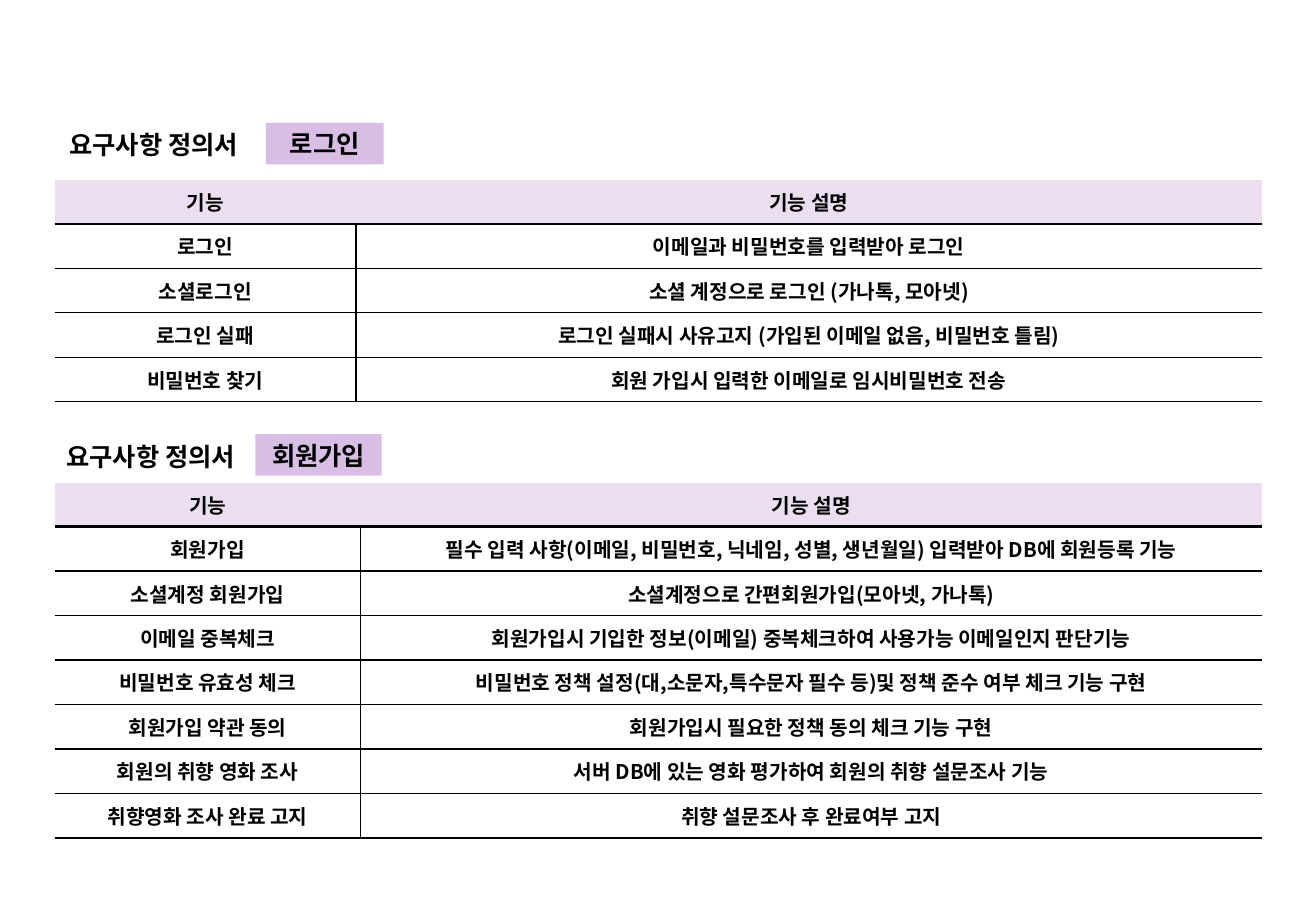
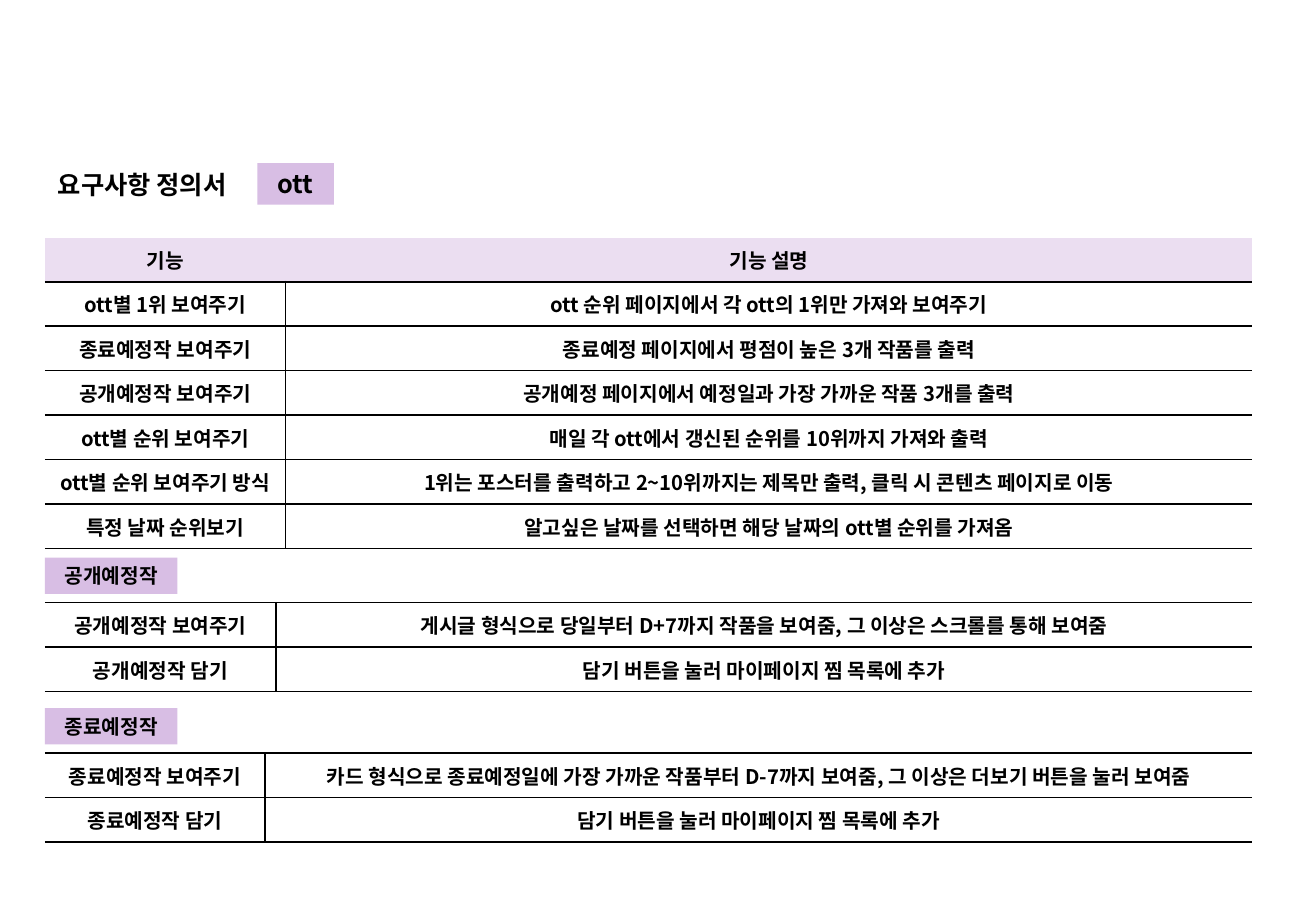
from lxml import etree
from pptx import Presentation
from pptx.dml.color import RGBColor
from pptx.enum.shapes import MSO_SHAPE
from pptx.enum.text import MSO_ANCHOR, PP_ALIGN
from pptx.oxml.ns import qn
from pptx.util import Cm, Pt

RECTANGLE = MSO_SHAPE.RECTANGLE
MIDDLE = MSO_ANCHOR.MIDDLE
LEFT, CENTER = PP_ALIGN.LEFT, PP_ALIGN.CENTER

BLACK = RGBColor(0x00, 0x00, 0x00)
BADGE_FILL = RGBColor(0xD8, 0xBE, 0xE4)
HEADER_FILL = RGBColor(0xEB, 0xDE, 0xF1)
FONT = "Noto Sans CJK KR"
TITLE_SIZE, BODY_SIZE = 15, 12

SLIDE_WIDTH, SLIDE_HEIGHT = 27.51, 19.05
TABLE_WIDTH = 25.24
HEADER_HEIGHT, ROW_HEIGHT = 0.91, 0.93
TITLE_WIDTH, TITLE_HEIGHT = 4.8, 0.87
SECTION_WIDTH, SECTION_HEIGHT = 2.77, 0.76
TITLE = "요구사항 정의서"
HEADER = ("기능", "기능 설명")

LOGIN_ROWS = [
    ("로그인", "이메일과 비밀번호를 입력받아 로그인"),
    ("소셜로그인", "소셜 계정으로 로그인 (가나톡, 모아넷)"),
    ("로그인 실패", "로그인 실패시 사유고지 (가입된 이메일 없음, 비밀번호 틀림)"),
    ("비밀번호 찾기", "회원 가입시 입력한 이메일로 임시비밀번호 전송"),
]
SIGNUP_ROWS = [
    ("회원가입", "필수 입력 사항(이메일, 비밀번호, 닉네임, 성별, 생년월일) 입력받아 DB에 회원등록 기능"),
    ("소셜계정 회원가입", "소셜계정으로 간편회원가입(모아넷, 가나톡)"),
    ("이메일 중복체크", "회원가입시 기입한 정보(이메일) 중복체크하여 사용가능 이메일인지 판단기능"),
    ("비밀번호 유효성 체크", "비밀번호 정책 설정(대,소문자,특수문자 필수 등)및 정책 준수 여부 체크 기능 구현"),
    ("회원가입 약관 동의", "회원가입시 필요한 정책 동의 체크 기능 구현"),
    ("회원의 취향 영화 조사", "서버 DB에 있는 영화 평가하여 회원의 취향 설문조사 기능"),
    ("취향영화 조사 완료 고지", "취향 설문조사 후 완료여부 고지"),
]
OTT_ROWS = [
    ("ott별 1위 보여주기", "ott 순위 페이지에서 각 ott의 1위만 가져와 보여주기"),
    ("종료예정작 보여주기", "종료예정 페이지에서 평점이 높은 3개 작품를 출력"),
    ("공개예정작 보여주기", "공개예정 페이지에서 예정일과 가장 가까운 작품 3개를 출력"),
    ("ott별 순위 보여주기", "매일 각 ott에서 갱신된 순위를 10위까지 가져와 출력"),
    ("ott별 순위 보여주기 방식", "1위는 포스터를 출력하고 2~10위까지는 제목만 출력, 클릭 시 콘텐츠 페이지로 이동"),
    ("특정 날짜 순위보기", "알고싶은 날짜를 선택하면 해당 날짜의 ott별 순위를 가져옴"),
]
WISH_TEXT = "담기 버튼을 눌러 마이페이지 찜 목록에 추가"
UPCOMING_ROWS = [
    ("공개예정작 보여주기", "게시글 형식으로 당일부터 D+7까지 작품을 보여줌, 그 이상은 스크롤를 통해 보여줌"),
    ("공개예정작 담기", WISH_TEXT),
]
ENDING_ROWS = [
    ("종료예정작 보여주기", "카드 형식으로 종료예정일에 가장 가까운 작품부터 D-7까지 보여줌, 그 이상은 더보기 버튼을 눌러 보여줌"),
    ("종료예정작 담기", WISH_TEXT),
]


def write_text(text_frame, text, size, alignment):
    """Write one bold black run into the first paragraph."""
    paragraph = text_frame.paragraphs[0]
    paragraph.alignment = alignment
    run = paragraph.add_run()
    run.text = text
    run.font.name = FONT
    run.font.size = Pt(size)
    run.font.bold = True
    run.font.color.rgb = BLACK
    east_asian = etree.SubElement(run.font._element, qn("a:ea"))
    east_asian.set("typeface", FONT)


def fit_frame(text_frame):
    """Wrap and centre a text frame vertically without vertical insets."""
    text_frame.word_wrap = True
    text_frame.vertical_anchor = MIDDLE
    text_frame.margin_top = text_frame.margin_bottom = 0


def add_badge(slide, left, top, width, height, text, size):
    """Draw a lilac label."""
    shape = slide.shapes.add_shape(RECTANGLE, Cm(left), Cm(top), Cm(width), Cm(height))
    shape.shadow.inherit = False
    shape.fill.solid()
    shape.fill.fore_color.rgb = BADGE_FILL
    shape.line.fill.background()
    fit_frame(shape.text_frame)
    write_text(shape.text_frame, text, size, CENTER)


def add_heading(slide, left, top, badge_offset, badge_width, text):
    """Place the document title with the badge of its topic."""
    box = slide.shapes.add_textbox(Cm(left), Cm(top), Cm(TITLE_WIDTH), Cm(TITLE_HEIGHT))
    fit_frame(box.text_frame)
    write_text(box.text_frame, TITLE, TITLE_SIZE, LEFT)
    add_badge(slide, left + badge_offset, top - 0.02, badge_width, TITLE_HEIGHT, text, TITLE_SIZE)


def set_borders(cell, widths):
    """Set left, right, top and bottom borders in points, 0 meaning none."""
    properties = cell._tc.get_or_add_tcPr()
    for side, width in zip("LRTB", widths):
        line = etree.SubElement(properties, qn(f"a:ln{side}"), w=str(Pt(width)))
        if width:
            fill = etree.SubElement(line, qn("a:solidFill"))
            etree.SubElement(fill, qn("a:srgbClr"), val=str(BLACK))
        else:
            etree.SubElement(line, qn("a:noFill"))


def add_requirements(slide, left, top, name_width, rows, has_header=True):
    """Draw a table of features and their descriptions."""
    contents = [HEADER, *rows] if has_header else rows
    heights = [ROW_HEIGHT] * len(contents)
    if has_header:
        heights[0] = HEADER_HEIGHT
    table = slide.shapes.add_table(
        len(contents), 2, Cm(left), Cm(top), Cm(TABLE_WIDTH), Cm(sum(heights))
    ).table
    table.first_row = table.horz_banding = False
    table.columns[0].width = Cm(name_width)
    table.columns[1].width = Cm(TABLE_WIDTH - name_width)
    for row_index, (texts, height) in enumerate(zip(contents, heights)):
        table.rows[row_index].height = Cm(height)
        is_header = has_header and row_index == 0
        top_line = 1.5 if has_header and row_index == 1 else 1
        for column_index, text in enumerate(texts):
            cell = table.cell(row_index, column_index)
            cell.vertical_anchor = MIDDLE
            write_text(cell.text_frame, text, BODY_SIZE, CENTER)
            if is_header:
                set_borders(cell, (0, 0, 0, 1.5))
                cell.fill.solid()
                cell.fill.fore_color.rgb = HEADER_FILL
            else:
                set_borders(cell, (column_index, 1 - column_index, top_line, 1))
                cell.fill.background()
                cell.margin_left = cell.margin_right = Cm(0.08)
                cell.margin_top = cell.margin_bottom = Cm(0.05)


def add_section(slide, left, top, gap, name_width, text, rows):
    """Place a small badge above a table without a header."""
    add_badge(slide, left, top, SECTION_WIDTH, SECTION_HEIGHT, text, BODY_SIZE)
    add_requirements(slide, left, top + gap, name_width, rows, has_header=False)


def build_account_slide(slide):
    """Build the login and sign-up requirements."""
    left = 1.14
    add_heading(slide, 1.2, 2.59, 4.36, 2.46, "로그인")
    add_requirements(slide, left, 3.77, 6.3, LOGIN_ROWS)
    add_heading(slide, left, 9.1, 4.2, 2.64, "회원가입")
    add_requirements(slide, left, 10.1, 6.4, SIGNUP_ROWS)


def build_ott_slide(slide):
    """Build the ott, upcoming and ending requirements."""
    left = 0.94
    add_heading(slide, left + 0.02, 3.43, 4.42, 1.6, "ott")
    add_requirements(slide, left, 4.98, 5.03, OTT_ROWS)
    add_section(slide, left, 11.66, 0.94, 4.83, "공개예정작", UPCOMING_ROWS)
    add_section(slide, left, 14.81, 0.94, 4.6, "종료예정작", ENDING_ROWS)


def main():
    """Build and save the presentation."""
    presentation = Presentation()
    presentation.slide_width = Cm(SLIDE_WIDTH)
    presentation.slide_height = Cm(SLIDE_HEIGHT)
    blank_layout = presentation.slide_layouts[6]
    for build in (build_account_slide, build_ott_slide):
        build(presentation.slides.add_slide(blank_layout))
    presentation.save("out.pptx")


if __name__ == "__main__":
    main()
